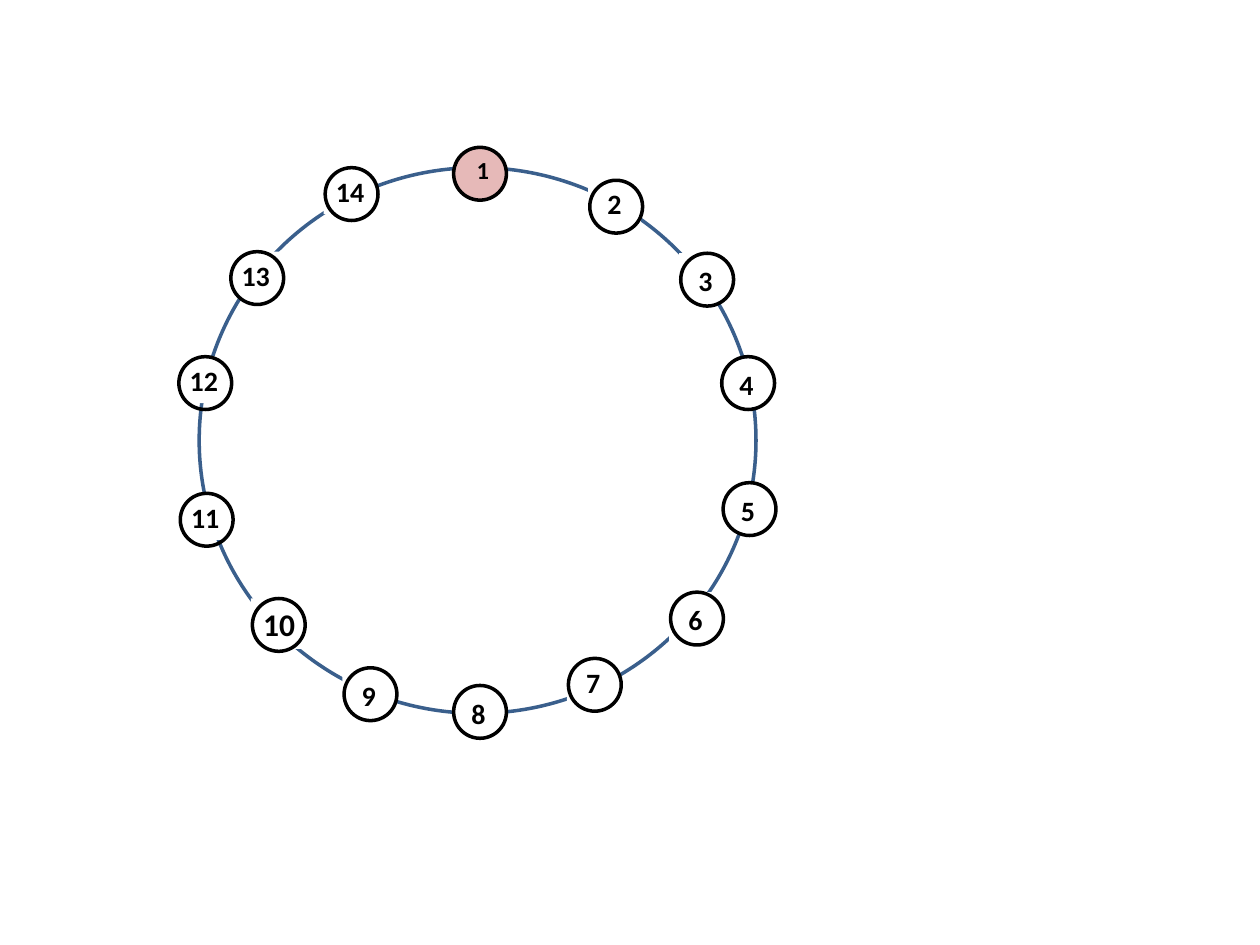
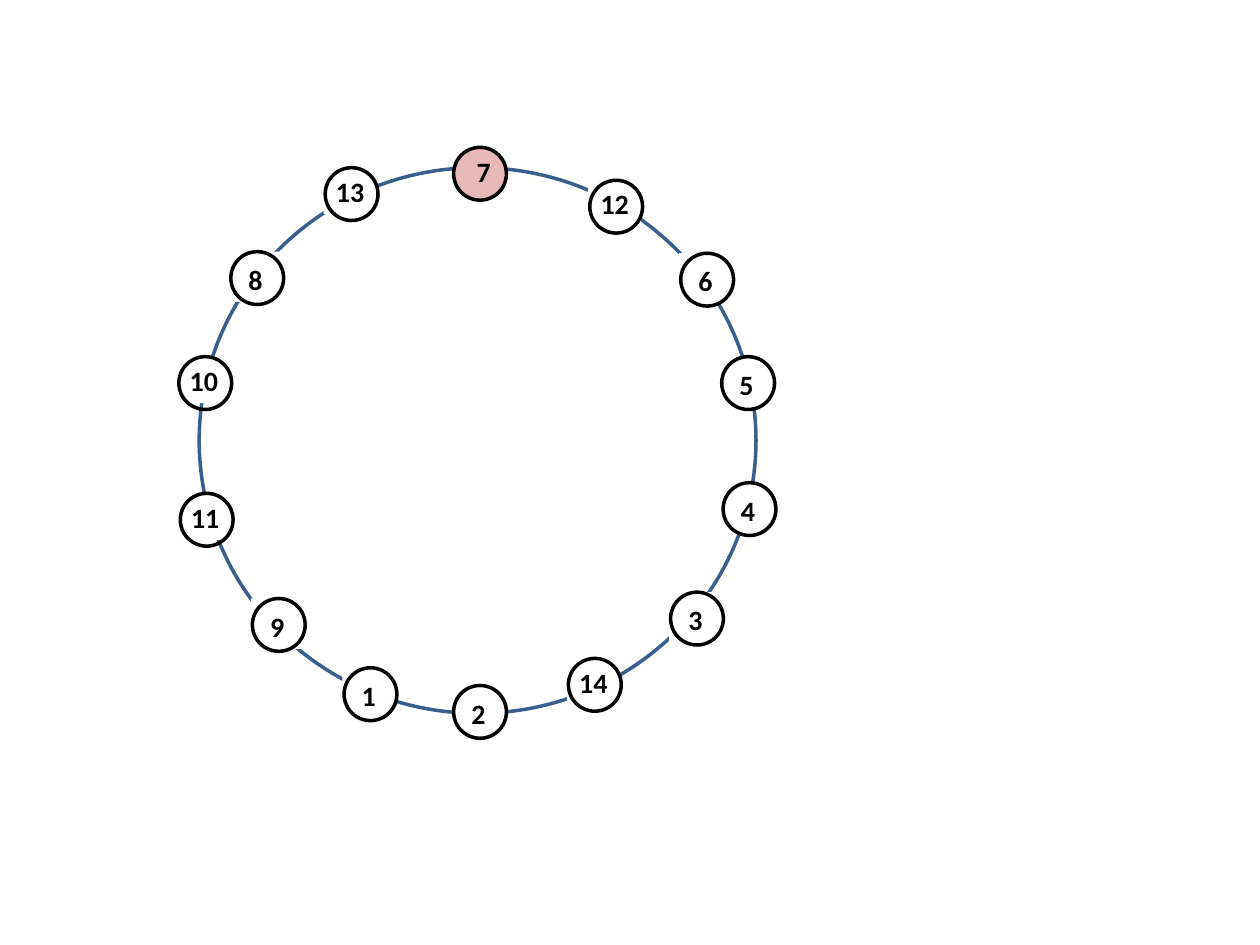
from collections import namedtuple

from pptx import Presentation
from pptx.dml.color import RGBColor
from pptx.enum.shapes import MSO_SHAPE
from pptx.enum.text import MSO_ANCHOR, PP_ALIGN
from pptx.util import Pt

OVAL, RECT = MSO_SHAPE.OVAL, MSO_SHAPE.RECTANGLE
BOTTOM, LEFT = MSO_ANCHOR.BOTTOM, PP_ALIGN.LEFT

COLORS = {"ring": "3A5F8C", "outline": "000000", "text": "000000",
          "start": "E6B9B8", "plate": "FFFFFF"}
FONT = "Calibri"
NODE = 30.2
PLATE_SHIFT = -0.9
START_SHIFT = 2.2
SHORT, TALL = 26.6, 28.8

Slot = namedtuple("Slot", "left top width height size", defaults=(NODE, TALL, 16))

SLOTS = [
    Slot(259.2, 84.2, height=SHORT),
    Slot(337, 103, height=SHORT),
    Slot(389, 144.7),
    Slot(412.4, 203.8),
    Slot(413.2, 275.8),
    Slot(383.2, 338.4),
    Slot(324.8, 376.2, height=SHORT),
    Slot(259.2, 391.7),
    Slot(196.6, 381.6),
    Slot(144.2, 342),
    Slot(103, 281.9, width=41, height=SHORT),
    Slot(102.2, 203.8, height=SHORT),
    Slot(131.9, 143.8),
    Slot(185.8, 95.8, height=SHORT),
]

RINGS = [
    (list(range(1, 15)),
     {1: {"height": 24.5, "size": 14},
      10: {"width": 41.8, "size": 18},
      13: {"width": 43.2, "height": SHORT}}),
    ([7, 12, 6, 5, 4, 3, 14, 2, 1, 9, 11, 10, 8, 13], {}),
]


def rgb(name):
    return RGBColor.from_string(COLORS[name])


def add_fill(sp, fill):
    if fill:
        sp.fill.solid()
        sp.fill.fore_color.rgb = rgb(fill)
    else:
        sp.fill.background()


def add_circle(group, left, top, width, height, line, fill=None):
    sp = group.shapes.add_shape(OVAL, Pt(left), Pt(top), Pt(width), Pt(height))
    sp.shadow.inherit = False
    add_fill(sp, fill)
    sp.line.color.rgb = rgb(line)
    sp.line.width = Pt(2)


def add_label(group, slot, text, shift, fill=None):
    box = [Pt(v) for v in (slot.left + shift, slot.top, slot.width, slot.height)]
    if fill:
        sp = group.shapes.add_shape(RECT, *box)
        sp.shadow.inherit = False
        sp.line.fill.background()
        add_fill(sp, fill)
    else:
        sp = group.shapes.add_textbox(*box)
    tf = sp.text_frame
    tf.word_wrap = True
    tf.vertical_anchor = BOTTOM
    tf.margin_left = Pt(7.2 if len(text) == 2 else 11)
    tf.margin_right = 0
    tf.margin_top = tf.margin_bottom = Pt(3.6)
    p = tf.paragraphs[0]
    p.text = text
    p.alignment = LEFT
    p.font.name = FONT
    p.font.size = Pt(slot.size)
    p.font.bold = True
    p.font.color.rgb = rgb("text")


def add_start_node(group, slot, text):
    add_circle(group, slot.left, slot.top, NODE, NODE, "outline", "start")
    add_label(group, slot, text, START_SHIFT)


def add_node(group, slot, text):
    add_label(group, slot, text, PLATE_SHIFT, "plate")
    add_circle(group, slot.left, slot.top, NODE, NODE, "outline")


def add_ring(prs, numbers, changes):
    s = prs.slides.add_slide(prs.slide_layouts[6])
    group = s.shapes.add_group_shape()
    add_circle(group, 113.8, 95.8, 318.2, 311.8, "ring")
    for position, (slot, number) in enumerate(zip(SLOTS, numbers), 1):
        slot = slot._replace(**changes.get(position, {}))
        draw = add_start_node if position == 1 else add_node
        draw(group, slot, str(number))


def main():
    prs = Presentation()
    prs.slide_width, prs.slide_height = Pt(720), Pt(540)
    for numbers, changes in RINGS:
        add_ring(prs, numbers, changes)
    prs.save("out.pptx")


if __name__ == "__main__":
    main()
